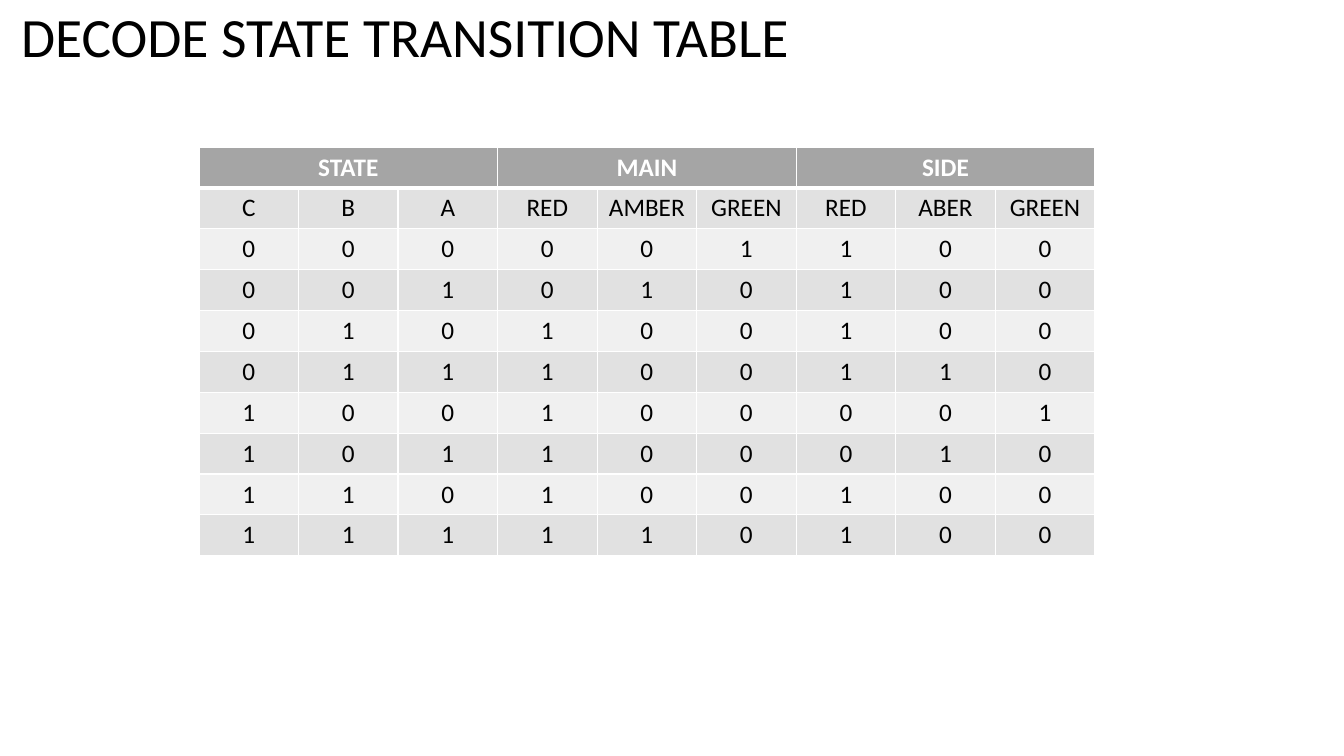
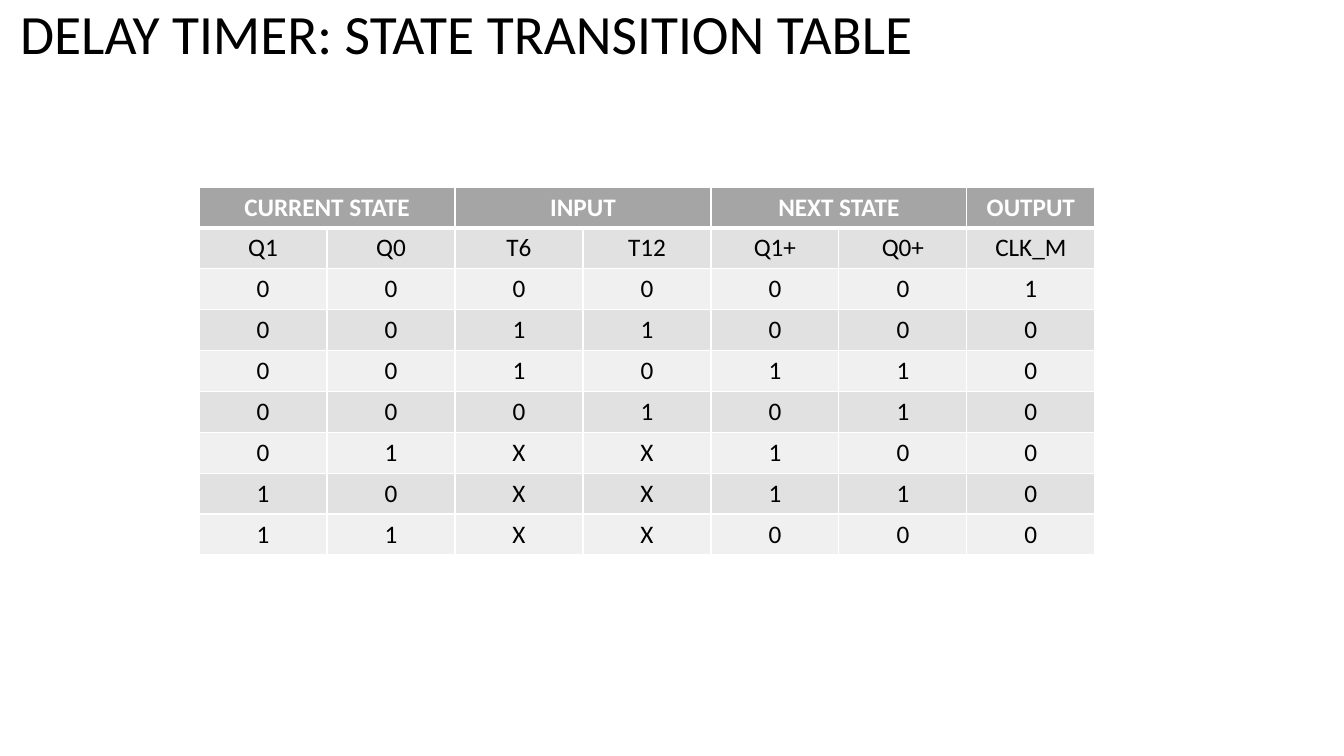
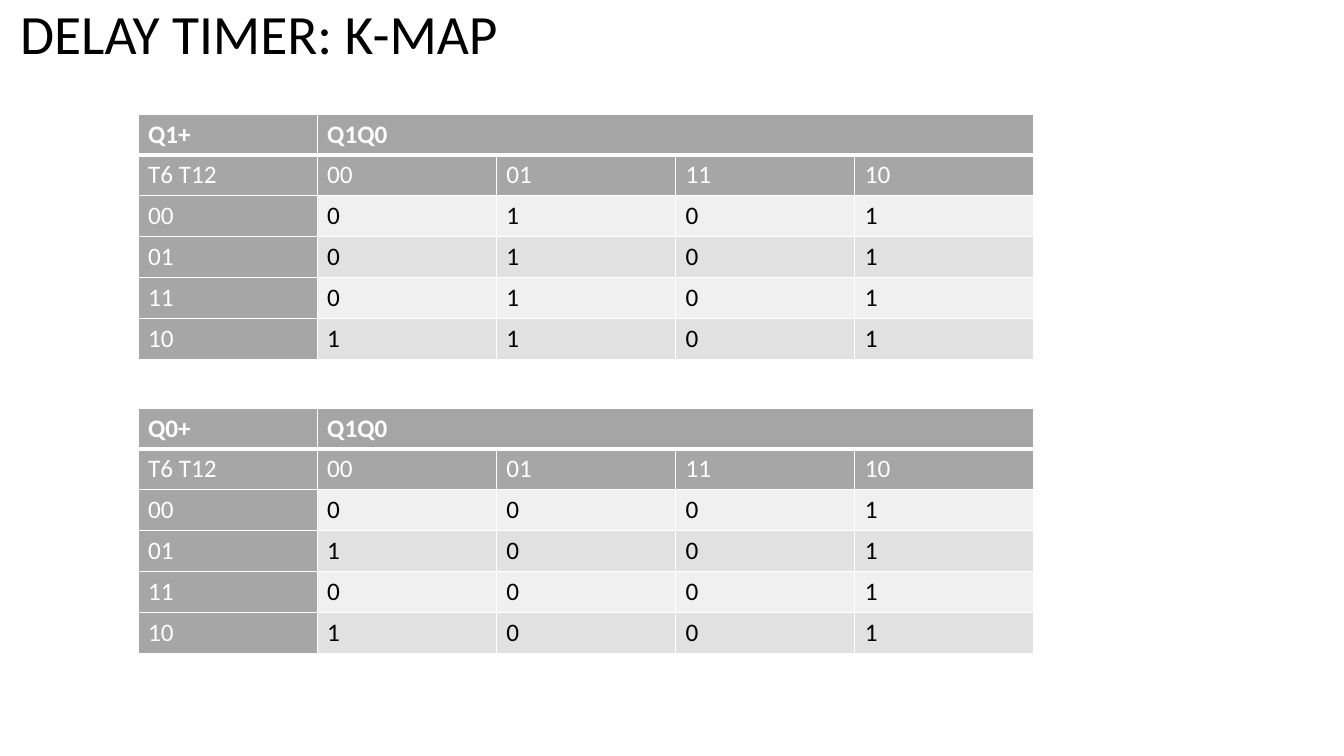
import pptx
import pptx.dml.color
import pptx.enum.text
import pptx.oxml
import pptx.oxml.ns
import pptx.util

PX = 914400 / 100.8
FONT = "Calibri"
WHITE, BLACK = "FFFFFF", "000000"
HEAD, KMAP_HEAD = "A5A5A5", "A6A6A6"
BANDS = ["F0F0F0", "E1E1E1"]
ALIGN = pptx.enum.text.PP_ALIGN
KMAP_COLS = "T6 T12,00,01,11,10"

# Header entries are (label, columns spanned).
# Each table: left, top, width, height, is K-map, header, rows.
slides = [
    ("DECODE STATE TRANSITION TABLE", (11, 10, 1159, 60), [
        (199, 147, 896, 409, False, [("STATE", 3), ("MAIN", 3), ("SIDE", 3)], [
            "C,B,A,RED,AMBER,GREEN,RED,ABER,GREEN",
            "0,0,0,0,0,1,1,0,0",
            "0,0,1,0,1,0,1,0,0",
            "0,1,0,1,0,0,1,0,0",
            "0,1,1,1,0,0,1,1,0",
            "1,0,0,1,0,0,0,0,1",
            "1,0,1,1,0,0,0,1,0",
            "1,1,0,1,0,0,1,0,0",
            "1,1,1,1,1,0,1,0,0"])]),
    ("DELAY TIMER: STATE TRANSITION TABLE", (10, 9, 1159, 56), [
        (199, 187, 896, 368, False,
         [("CURRENT STATE", 2), ("INPUT", 2), ("NEXT STATE", 2), ("OUTPUT", 1)], [
            "Q1,Q0,T6,T12,Q1+,Q0+,CLK_M",
            "0,0,0,0,0,0,1",
            "0,0,1,1,0,0,0",
            "0,0,1,0,1,1,0",
            "0,0,0,1,0,1,0",
            "0,1,X,X,1,0,0",
            "1,0,X,X,1,1,0",
            "1,1,X,X,0,0,0"])]),
    ("DELAY TIMER: K-MAP", (10, 9, 1159, 56), [
        (138, 114, 896, 245, True, [("Q1+", 1), ("Q1Q0", 4)], [
            KMAP_COLS, "00,0,1,0,1", "01,0,1,0,1", "11,0,1,0,1", "10,1,1,0,1"]),
        (138, 408, 896, 245, True, [("Q0+", 1), ("Q1Q0", 4)], [
            KMAP_COLS, "00,0,0,0,1", "01,1,0,0,1", "11,0,0,0,1", "10,1,0,0,1"])]),
]


def rgb(color):
    return pptx.dml.color.RGBColor.from_string(color)


def add_text(p, text, size, color, bold=False):
    r = p.add_run()
    r.text = text
    r.font.name, r.font.size, r.font.bold = FONT, pptx.util.Pt(size), bold
    r.font.color.rgb = rgb(color)


prs = pptx.Presentation()
prs.slide_width, prs.slide_height = round(1344 * PX), round(756 * PX)

for title, box, tables in slides:
    s = prs.slides.add_slide(prs.slide_layouts[5])
    sp = s.shapes.title
    sp.left, sp.top, sp.width, sp.height = [round(v * PX) for v in box]
    tf = sp.text_frame
    tf.word_wrap = True
    tf.auto_size = pptx.enum.text.MSO_AUTO_SIZE.NONE
    tf.vertical_anchor = pptx.enum.text.MSO_ANCHOR.MIDDLE
    p = tf.paragraphs[0]
    p.alignment, p.line_spacing = ALIGN.LEFT, 0.9
    add_text(p, title, 39.6, BLACK)

    for left, top, width, height, is_kmap, header, body in tables:
        head_row = [t for label, span in header for t in [label] + [""] * (span - 1)]
        rows = [head_row] + [line.split(",") for line in body]
        frame = s.shapes.add_table(len(rows), len(head_row),
                                   *[round(v * PX) for v in (left, top, width, height)])
        table = frame.table
        for col in table.columns:
            col.width = round(width * PX / len(head_row))
        for row in table.rows:
            row.height = round(height * PX / len(rows))

        first = 0
        for label, span in header:
            if span > 1:
                table.cell(0, first).merge(table.cell(0, first + span - 1))
            first += span

        for i, texts in enumerate(rows):
            for j, text in enumerate(texts):
                cell = table.cell(i, j)
                is_label = i == 0 or (is_kmap and (i == 1 or j == 0))
                if not is_label:
                    fill = BANDS[i % 2]
                elif is_kmap and (i > 0 or j == 0):
                    fill = KMAP_HEAD
                else:
                    fill = HEAD
                cell.fill.solid()
                cell.fill.fore_color.rgb = rgb(fill)

                tcPr = cell._tc.get_or_add_tcPr()
                for k, side in enumerate("LRTB"):
                    under_head = (i, side) in [(0, "B"), (1, "T")]
                    line_w = pptx.util.Pt(3 if under_head else 1)
                    tcPr.insert(k, pptx.oxml.parse_xml(
                        f'<a:ln{side} {pptx.oxml.ns.nsdecls("a")} w="{line_w}">'
                        f'<a:solidFill><a:srgbClr val="{WHITE}"/></a:solidFill></a:ln{side}>'))

                if text:
                    p = cell.text_frame.paragraphs[0]
                    p.alignment = ALIGN.LEFT if is_kmap else ALIGN.CENTER
                    add_text(p, text, 18, WHITE if is_label else BLACK, bold=i == 0)

prs.save("out.pptx")
